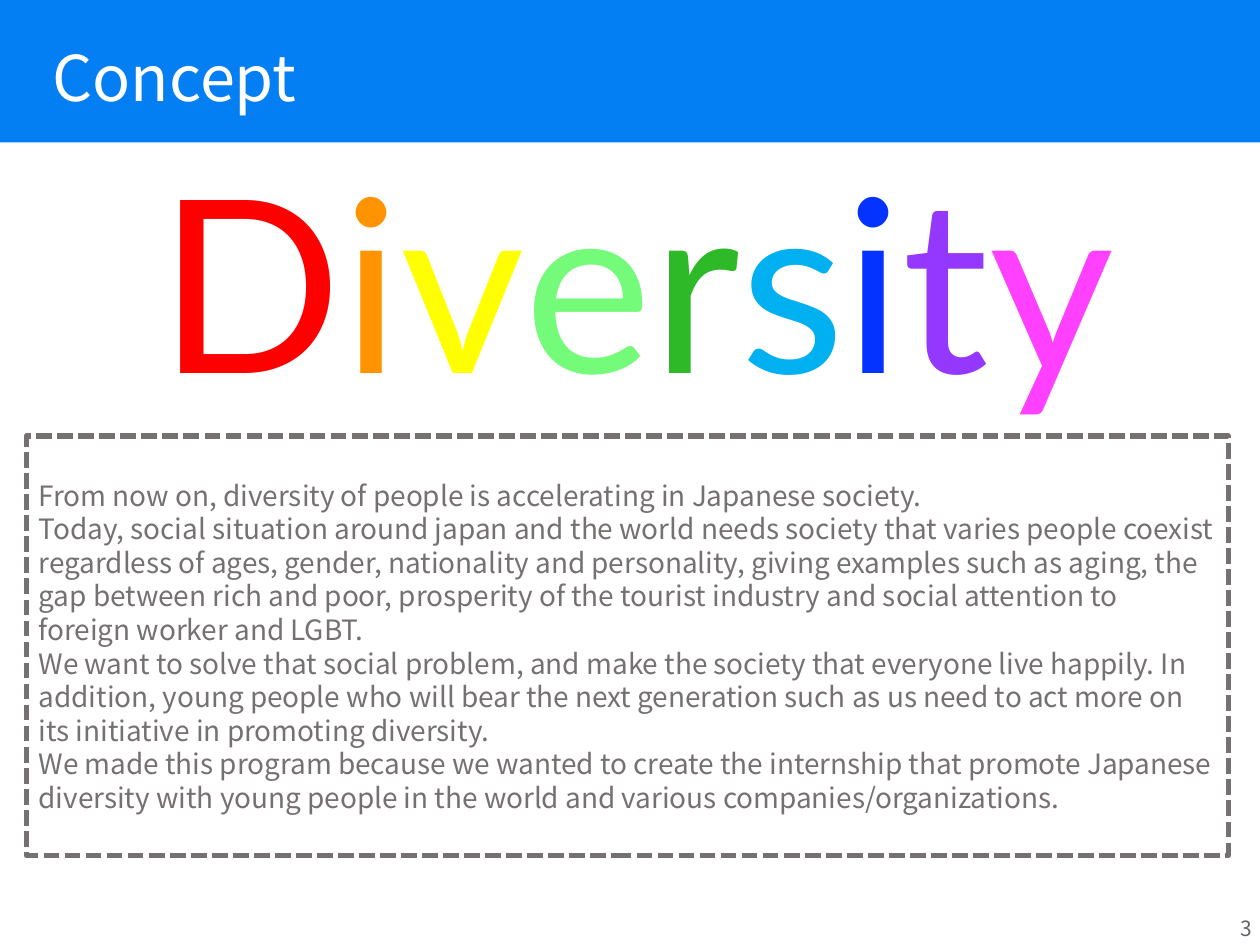
from pptx import Presentation
from pptx.dml.color import RGBColor
from pptx.enum.dml import MSO_LINE
from pptx.enum.shapes import MSO_SHAPE
from pptx.enum.text import MSO_ANCHOR, MSO_AUTO_SIZE, PP_ALIGN
from pptx.util import Cm, Pt

INK = {"blue": "037EF3", "white": "FFFFFF", "gray": "767171", "page": "5F646E"}
WORD = [("D", "FF0000"), ("i", "FF9300"), ("v", "FFFF00"), ("e", "73FB79"),
        ("r", "2EB929"), ("s", "00B0F0"), ("i", "0432FF"), ("t", "9437FF"),
        ("y", "FF40FF")]
BODY = [
    "From now on, diversity of people is accelerating in Japanese society.",
    "Today, social situation around japan and the world needs society that varies people "
    "coexist regardless of ages, gender, nationality and personality, giving examples such "
    "as aging, the gap between rich and poor, prosperity of the tourist industry and social "
    "attention to foreign worker and LGBT.",
    "We want to solve that social problem, and make the society that everyone live happily. "
    "In addition, young people who will bear the next generation such as us need to act more "
    "on its initiative in promoting diversity.",
    "We made this program because we wanted to create the internship that promote Japanese "
    "diversity with young people in the world and various companies/organizations.",
]
SANS = "Noto Sans CJK JP"


def tint(hue):
    """Return the colour for a hex string."""
    return RGBColor.from_string(hue)


def style(para, size, hue, align=PP_ALIGN.LEFT):
    """Set the font and alignment of a paragraph."""
    para.font.name = SANS
    para.font.size = Pt(size)
    para.font.color.rgb = tint(hue)
    para.alignment = align


def fit(frame, inset, top, anchor=MSO_ANCHOR.TOP, wrap=True):
    """Set the insets, anchor and wrapping of a text frame."""
    frame.auto_size = MSO_AUTO_SIZE.NONE
    frame.word_wrap = wrap
    frame.vertical_anchor = anchor
    frame.margin_left = frame.margin_right = Cm(inset)
    frame.margin_top = frame.margin_bottom = Cm(top)


def block(slide, x, y, w, h):
    """Add a plain rectangle without shadow."""
    shape = slide.shapes.add_shape(MSO_SHAPE.RECTANGLE, Cm(x), Cm(y), Cm(w), Cm(h))
    shape.shadow.inherit = False
    return shape


def header(slide, x, y, w, h):
    """Draw the blue band and set the title on it."""
    band = block(slide, x, y, w, h)
    band.fill.solid()
    band.fill.fore_color.rgb = tint(INK["blue"])
    band.line.fill.background()
    title = slide.shapes.title
    title._element.addprevious(band._element)
    title.left, title.top = Cm(x + 0.81), Cm(y + 0.53)
    title.width, title.height = Cm(w - 1.62), Cm(h - 0.53)
    title.text_frame.text = "Concept"
    fit(title.text_frame, 0.25, 0.25)
    para = title.text_frame.paragraphs[0]
    style(para, 36, INK["white"])
    para.line_spacing = Pt(43)


def rainbow(slide, x, y, w, h):
    """Write the key word with one colour for each letter."""
    frame = slide.shapes.add_textbox(Cm(x), Cm(y), Cm(w), Cm(h)).text_frame
    fit(frame, 0.25, 0.13)
    para = frame.paragraphs[0]
    para.font.name = "Lato"
    para.font.size = Pt(138)
    for letter, hue in WORD:
        run = para.add_run()
        run.text = letter
        run.font.name = "Lato"
        run.font.size = Pt(138)
        run.font.color.rgb = tint(hue)


def panel(slide, x, y, w, h):
    """Draw the dashed frame with the concept text."""
    box = block(slide, x, y, w, h)
    box.fill.background()
    box.line.color.rgb = tint(INK["gray"])
    box.line.width = Pt(3)
    box.line.dash_style = MSO_LINE.SQUARE_DOT
    frame = box.text_frame
    fit(frame, 0.25, 0.85)
    frame.text = "\n".join(BODY)
    for para in frame.paragraphs:
        style(para, 16, INK["gray"])
        para.line_spacing = Pt(19.2)


def folio(slide, x, y, w, h):
    """Write the page number."""
    frame = slide.shapes.add_textbox(Cm(x), Cm(y), Cm(w), Cm(h)).text_frame
    fit(frame, 0.15, 0.15, MSO_ANCHOR.MIDDLE, False)
    frame.text = "3"
    style(frame.paragraphs[0], 12, INK["page"], PP_ALIGN.CENTER)


def main():
    """Build and save the slide."""
    deck = Presentation()
    deck.slide_width, deck.slide_height = Cm(25.4), Cm(19.05)
    slide = deck.slides.add_slide(deck.slide_layouts[5])
    header(slide, 0, 0, 25.4, 2.87)
    panel(slide, 0.53, 8.79, 24.23, 8.46)
    rainbow(slide, 2.95, 2.54, 20.52, 6.15)
    folio(slide, 24.87, 18.31, 0.51, 0.79)
    deck.save("out.pptx")


if __name__ == "__main__":
    main()
